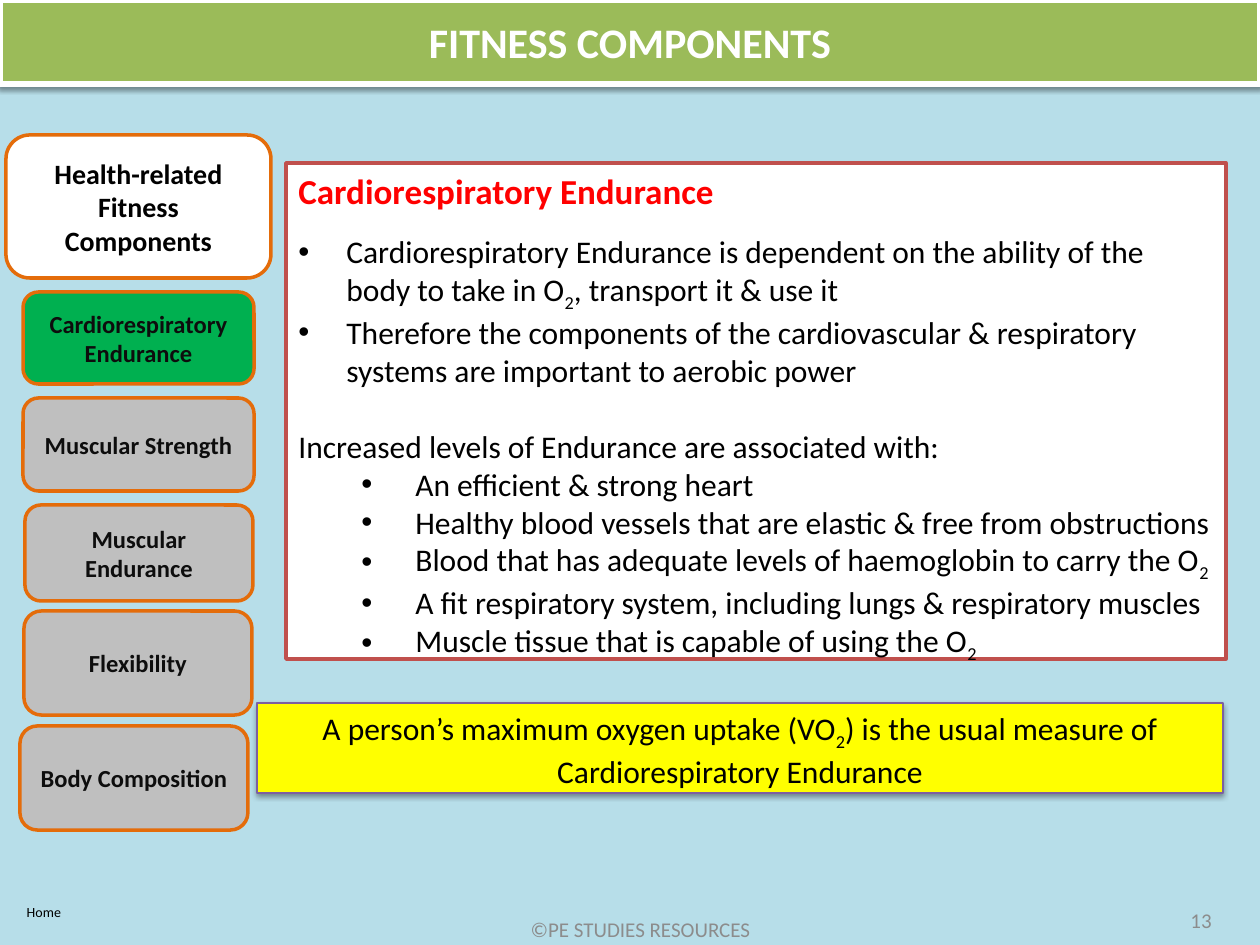
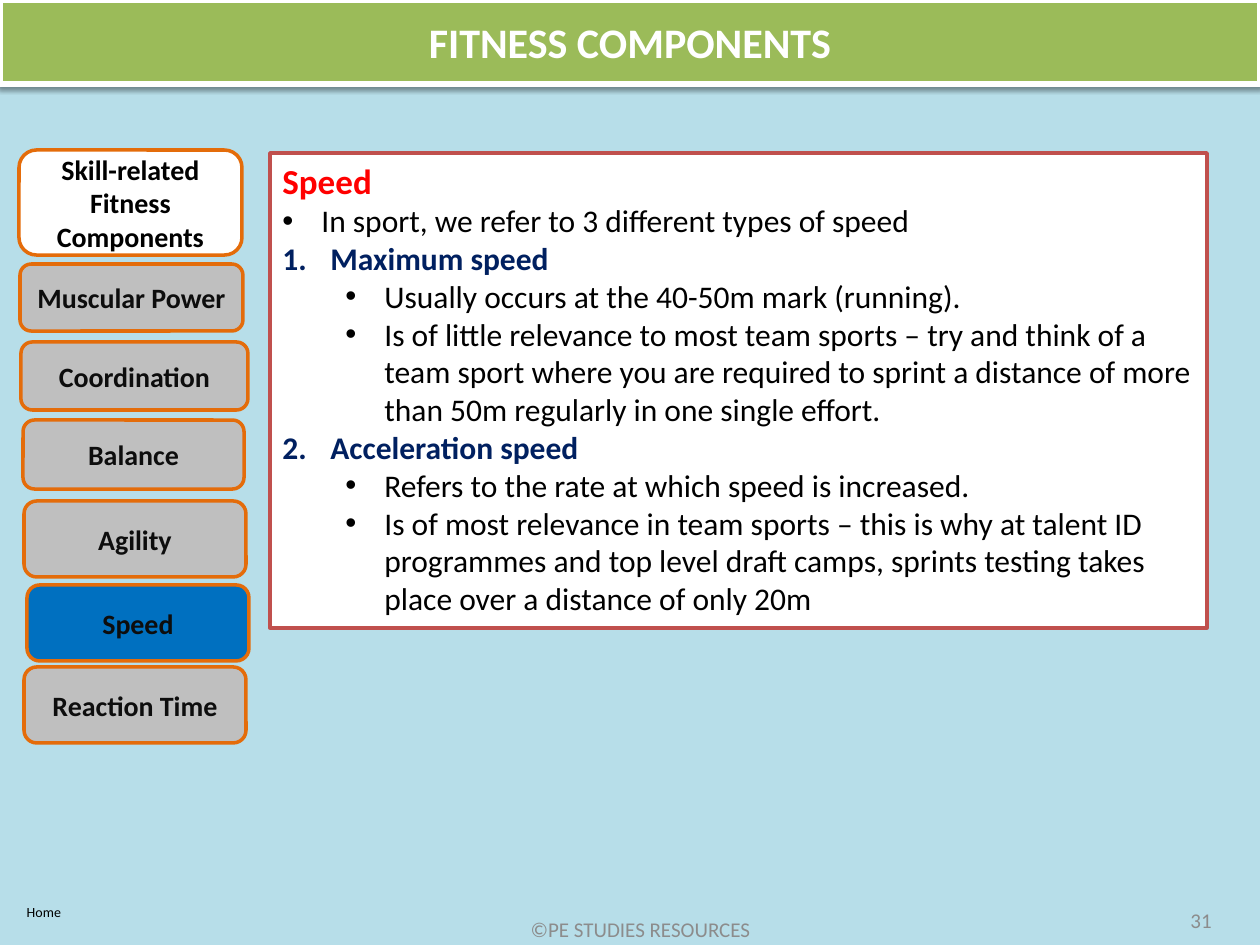
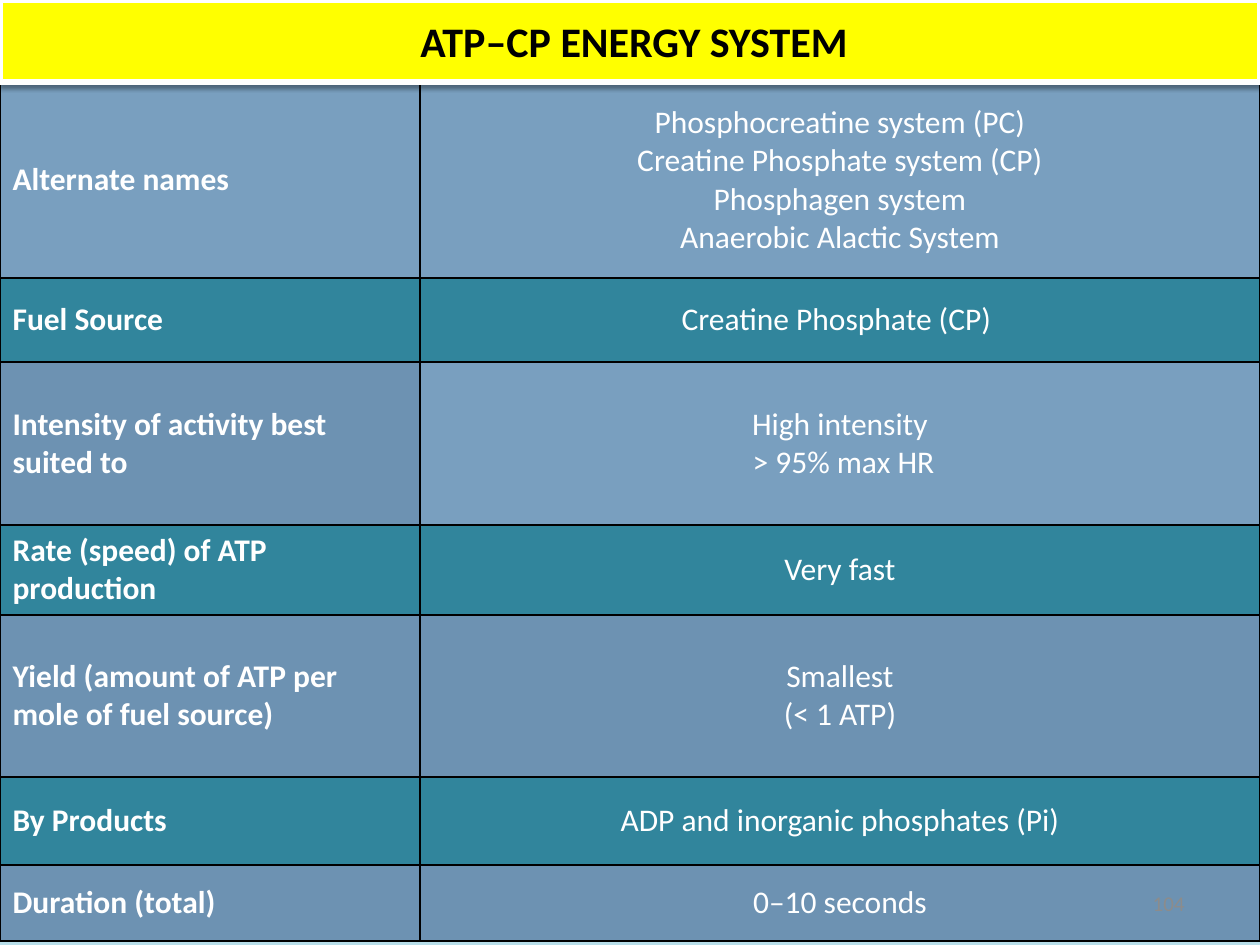
from lxml import etree
from pptx import Presentation
from pptx import util as u
from pptx.dml.color import RGBColor
from pptx.enum import shapes, text
from pptx.oxml import ns

PX = 914400 / 126  # one px in EMU
FONT = "Calibri"
SKY = RGBColor(0xB7, 0xDE, 0xE9)
WHITE = RGBColor(0xFF, 0xFF, 0xFF)
BLACK = RGBColor(0, 0, 0)
INK = RGBColor(0x0D, 0x0D, 0x0D)
GREY = RGBColor(0x8C, 0x8C, 0x8C)
SILVER = RGBColor(0xBF, 0xBF, 0xBF)
LIME = RGBColor(0x9B, 0xBB, 0x59)
YELLOW = RGBColor(0xFF, 0xFF, 0)
PURPLE = RGBColor(0x7D, 0x60, 0xA0)
BRICK = RGBColor(0xC0, 0x50, 0x4D)
ORANGE = RGBColor(0xE4, 0x6C, 0x0A)
RED = RGBColor(0xFF, 0, 0)
GREEN = RGBColor(0, 0xB0, 0x50)
BLUE = RGBColor(0, 0x70, 0xC0)
NAVY = RGBColor(0, 0x20, 0x60)
TEAL = RGBColor(0x31, 0x85, 0x9C)
STEEL = RGBColor(0x79, 0x9F, 0xBF)

RECT = shapes.MSO_SHAPE.RECTANGLE
ROUND = shapes.MSO_SHAPE.ROUNDED_RECTANGLE
LEFT, MID, RIGHT = text.PP_ALIGN.LEFT, text.PP_ALIGN.CENTER, text.PP_ALIGN.RIGHT


def px(n):
    return u.Emu(round(n * PX))


def node(root, tag, **attrs):
    return etree.SubElement(root, ns.qn(tag), {k: str(v) for k, v in attrs.items()})


# ---- Text: parts between bars are set as subscripts ----
def write(frame, words, first=False, size=18, color=BLACK, bold=False,
          align=LEFT, gap=0, indent=0, hang=0, bullet=None, start=None):
    para = frame.paragraphs[0] if first else frame.add_paragraph()
    para.alignment = align
    prop = para._p.get_or_add_pPr()
    prop.set("marL", str(px(indent)))
    prop.set("indent", str(-px(hang)))
    if gap:
        para.space_before = u.Pt(gap)
    if bullet:
        node(prop, "a:buFont", typeface="Arial")
        node(prop, "a:buChar", char=bullet)
    elif start:
        node(prop, "a:buFont", typeface="+mj-lt")
        node(prop, "a:buAutoNum", type="arabicPeriod", startAt=start)
    for i, part in enumerate(words.split("|")):
        if not part:
            continue
        run = para.add_run()
        run.text = part
        font = run.font
        font.name, font.size, font.bold = FONT, u.Pt(size), bold
        font.color.rgb = color
        if i % 2:
            run._r.get_or_add_rPr().set("baseline", "-25000")


def label(slide, box, words, **style):
    frame = slide.shapes.add_textbox(*map(px, box)).text_frame
    frame.word_wrap = True
    frame.vertical_anchor = text.MSO_ANCHOR.MIDDLE
    write(frame, words, first=True, **style)


def panel(slide, box, fill, line, width, kind=RECT, shade=False, top=False):
    shape = slide.shapes.add_shape(kind, *map(px, box))
    shape.shadow.inherit = False
    shape.fill.solid()
    shape.fill.fore_color.rgb = fill
    shape.line.color.rgb = line
    shape.line.width = u.Pt(width)
    if shade:
        effect = shape._element.spPr.find(ns.qn("a:effectLst"))
        cast = node(effect, "a:outerShdw", blurRad=u.Pt(3.1), dist=u.Pt(1.6),
                    dir=5400000, rotWithShape=0)
        node(node(cast, "a:srgbClr", val=BLACK), "a:alpha", val=38000)
    frame = shape.text_frame
    frame.word_wrap = True
    frame.vertical_anchor = text.MSO_ANCHOR.TOP if top else text.MSO_ANCHOR.MIDDLE
    return frame


# ---- Shared regions ----
def banner(slide, words, fill, color, high, indent=0):
    frame = panel(slide, (0, 0, 1260, high), fill, WHITE, 3, shade=True)
    write(frame, words, first=True, size=24, bold=True, color=color,
          align=MID, indent=indent)


def footer(slide, number):
    label(slide, (441, 904, 399, 50), "©PE STUDIES RESOURCES",
          size=12, color=GREY, align=MID)
    label(slide, (930, 895, 294, 50), number, size=12, color=GREY, align=RIGHT)
    label(slide, (0, 897, 88, 30), "Home", size=8, align=MID)


def menu(slide, head, tiles, size, active, glow):
    """Head tile, then one tile per topic; the active topic glows."""
    words, box = head
    frame = panel(slide, box, WHITE, ORANGE, 2, ROUND)
    write(frame, words, first=True, size=16, bold=True, align=MID)
    for words, box in tiles:
        fill = glow if words == active else SILVER
        frame = panel(slide, box, fill, ORANGE, 2, ROUND)
        write(frame, words, first=True, size=size, bold=True, color=INK, align=MID)


def notes_box(slide, box, title, lines):
    frame = panel(slide, box, WHITE, BRICK, 2, top=True)
    write(frame, title, first=True, size=20, bold=True, color=RED)
    for words, style in lines:
        write(frame, words, **style)


def topic(deck, number, box, title, lines, **side):
    slide = deck.slides.add_slide(deck.slide_layouts[6])
    footer(slide, number)
    notes_box(slide, box, title, lines)
    banner(slide, "FITNESS COMPONENTS", LIME, WHITE, 84)
    menu(slide, active=title, **side)
    return slide


# ---- Slide 1 ----
def endurance(deck):
    main = dict(bullet="•", indent=48, hang=48)
    sub = dict(bullet="•", indent=117, hang=54)
    lines = [
        ("Cardiorespiratory Endurance is dependent on the ability of the body "
         "to take in O|2|, transport it & use it", dict(main, gap=12)),
        ("Therefore the components of the cardiovascular & respiratory systems "
         "are important to aerobic power", main),
        ("Increased levels of Endurance are associated with:", dict(gap=22)),
        ("An efficient & strong heart", sub),
        ("Healthy blood vessels that are elastic & free from obstructions", sub),
        ("Blood that has adequate levels of haemoglobin to carry the O|2|", sub),
        ("A fit respiratory system, including lungs & respiratory muscles", sub),
        ("Muscle tissue that is capable of using the O|2|", sub),
    ]
    tiles = [
        ("Cardiorespiratory Endurance", (23, 292, 231, 92)),
        ("Muscular Strength", (23, 398, 231, 93)),
        ("Muscular Endurance", (25, 505, 228, 96)),
        ("Flexibility", (24, 611, 228, 104)),
        ("Body Composition", (20, 726, 228, 104)),
    ]
    slide = topic(deck, "13", (286, 163, 940, 496), "Cardiorespiratory Endurance",
                  lines, tiles=tiles, size=14, glow=GREEN,
                  head=("Health-related Fitness Components", (6, 135, 265, 143)))
    frame = panel(slide, (257, 703, 966, 90), YELLOW, PURPLE, 0.75,
                  shade=True, top=True)
    write(frame, "A person’s maximum oxygen uptake (VO|2|) is the usual measure "
          "of Cardiorespiratory Endurance", first=True, align=MID)


# ---- Slide 2 ----
def speed(deck):
    sub = dict(bullet="•", indent=102, hang=39)
    step = dict(indent=48, hang=48, color=NAVY, bold=True)
    lines = [
        ("In sport, we refer to 3 different types of speed",
         dict(bullet="•", indent=39, hang=39)),
        ("Maximum speed", dict(step, start=1)),
        ("Usually occurs at the 40-50m mark (running).", sub),
        ("Is of little relevance to most team sports – try and think of a team "
         "sport where you are required to sprint a distance of more than 50m "
         "regularly in one single effort.", sub),
        ("Acceleration speed", dict(step, start=2)),
        ("Refers to the rate at which speed is increased.", sub),
        ("Is of most relevance in team sports – this is why at talent ID "
         "programmes and top level draft camps, sprints testing takes place "
         "over a distance of only 20m", sub),
    ]
    tiles = [
        ("Muscular Power", (20, 264, 223, 67)),
        ("Coordination", (21, 342, 227, 68)),
        ("Balance", (23, 420, 221, 69)),
        ("Agility", (24, 501, 222, 76)),
        ("Speed", (27, 585, 222, 76)),
        ("Reaction Time", (24, 667, 222, 76)),
    ]
    topic(deck, "31", (270, 153, 937, 475), "Speed", lines,
          tiles=tiles, size=16, glow=BLUE,
          head=("Skill-related Fitness Components", (19, 150, 223, 105)))


# ---- Slide 3 ----
def paint(cell, lines, fill, clear, **style):
    prop = cell._tc.get_or_add_tcPr()
    for side in "LRTB":
        edge = node(prop, "a:ln" + side, w=u.Pt(1))
        node(node(edge, "a:solidFill"), "a:srgbClr", val=BLACK)
    cell.fill.solid()
    cell.fill.fore_color.rgb = fill
    if clear:
        tint = prop.find(ns.qn("a:solidFill")).find(ns.qn("a:srgbClr"))
        node(tint, "a:alpha", val=40000)
    cell.vertical_anchor = text.MSO_ANCHOR.MIDDLE
    for i, words in enumerate(lines):
        write(cell.text_frame, words, first=i == 0, color=WHITE, **style)


def energy(deck):
    slide = deck.slides.add_slide(deck.slide_layouts[6])
    # height, name, facts, fill of each column
    rows = [
        (196, "Alternate names",
         ["Phosphocreatine system (PC)", "Creatine Phosphate system (CP)",
          "Phosphagen system", "Anaerobic Alactic System"], (STEEL, STEEL)),
        (84, "Fuel Source", ["Creatine Phosphate (CP) "], (TEAL, TEAL)),
        (163, "Intensity of activity best suited to",
         ["High intensity", " > 95% max HR"], (NAVY, STEEL)),
        (90, "Rate (speed) of ATP production", ["Very fast"], (TEAL, TEAL)),
        (162, "Yield (amount of ATP per mole of fuel source)",
         ["Smallest", "(< 1 ATP)"], (NAVY, NAVY)),
        (88, "By Products", ["ADP and inorganic phosphates (Pi)"], (TEAL, TEAL)),
        (76, "Duration (total)", ["0–10 seconds"], (NAVY, NAVY)),
    ]
    high = sum(row[0] for row in rows)
    grid = slide.shapes.add_table(len(rows), 2, *map(px, (0, 82, 1260, high))).table
    grid.first_row = grid.horz_banding = False
    for col, wide in zip(grid.columns, (420, 840)):
        col.width = px(wide)
    for i, (tall, name, facts, fills) in enumerate(rows):
        grid.rows[i].height = px(tall)
        paint(grid.cell(i, 0), [name], fills[0], fills[0] == NAVY, bold=True)
        paint(grid.cell(i, 1), facts, fills[1], fills[1] == NAVY, align=MID)
    label(slide, (903, 878, 294, 50), "104", size=12, color=GREY, align=RIGHT)
    banner(slide, "ATP–CP ENERGY SYSTEM", YELLOW, BLACK, 82, indent=8)


def main():
    deck = Presentation()
    deck.slide_width, deck.slide_height = px(1260), px(945)
    back = deck.slide_master.background.fill
    back.solid()
    back.fore_color.rgb = SKY
    endurance(deck)
    speed(deck)
    energy(deck)
    deck.save("out.pptx")


if __name__ == "__main__":
    main()
